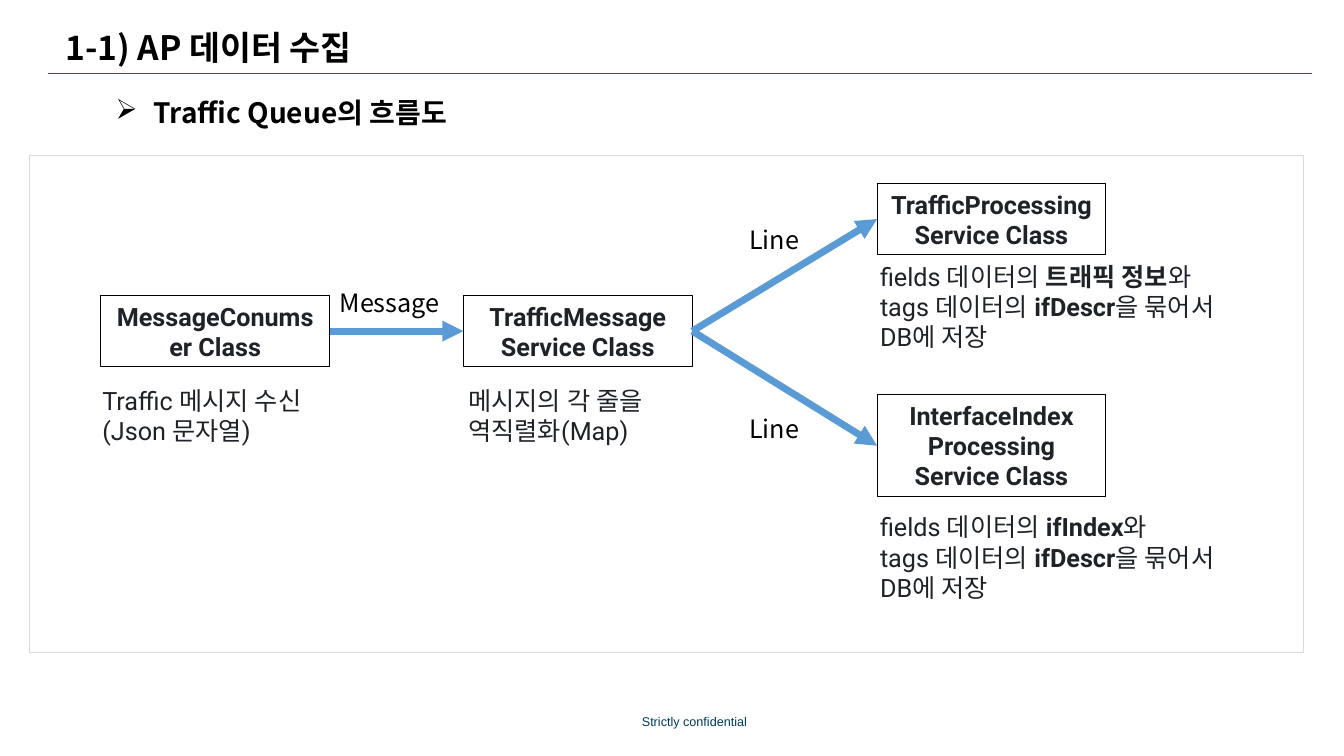
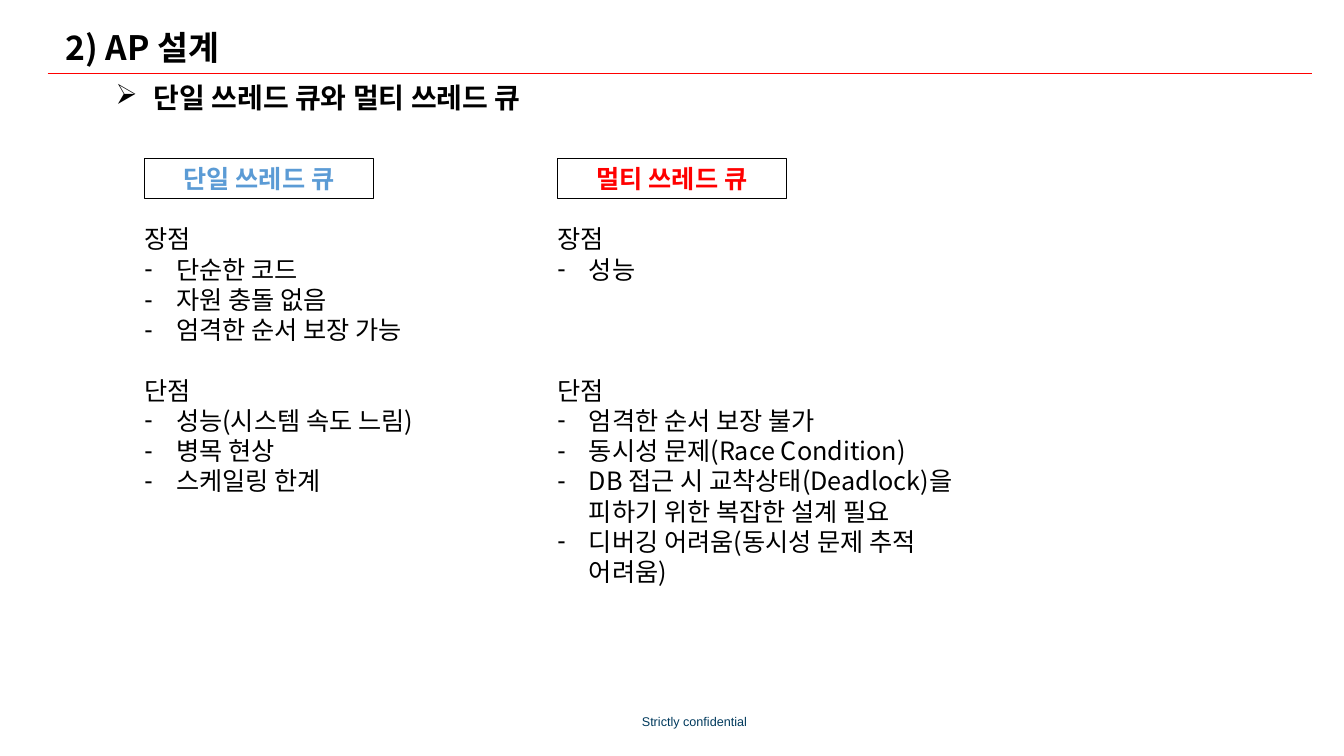
from pptx import Presentation
from pptx.dml.color import RGBColor
from pptx.enum.shapes import MSO_CONNECTOR, MSO_SHAPE
from pptx.enum.text import MSO_ANCHOR, MSO_AUTO_SIZE, PP_ALIGN
from pptx.oxml.ns import qn
from pptx.util import Pt
from lxml import etree

LEFT, CENTER = PP_ALIGN.LEFT, PP_ALIGN.CENTER
MIDDLE, TOP = MSO_ANCHOR.MIDDLE, MSO_ANCHOR.TOP
NO_FIT = MSO_AUTO_SIZE.NONE
STRAIGHT, RECT = MSO_CONNECTOR.STRAIGHT, MSO_SHAPE.RECTANGLE

# Shared look
BLACK, INK, RED, BLUE = "000000", "1F2328", "FF0000", "5B9BD5"
GREY, NAVY = "D9D9D9", "003A5D"
NOTO, ROBOTO = "Noto Sans CJK KR", "Roboto"
SIZE = 18
LEAD = 1.2
ROW = SIZE * LEAD
BOX_W = 163.5
TWO, THREE = 51, 72.75  # box heights for two and three rows


def color(code):
    return RGBColor.from_string(code)


def place(shape, left, top, width, height):
    shape.left, shape.top = Pt(left), Pt(top)
    shape.width, shape.height = Pt(width), Pt(height)


# Text
def style(para, size=SIZE, hue=BLACK, font=NOTO, bold=False, align=LEFT):
    para.alignment = align
    para.line_spacing = Pt(size * LEAD)
    para.space_before = Pt(0)
    for run in para.runs:
        face = run.font
        face.size, face.name = Pt(size), font
        face.bold = bold or bool(face.bold)
        face.color.rgb = color(hue)
        east = etree.Element(qn("a:ea"), typeface=font)
        run.font.element.find(qn("a:latin")).addnext(east) if hasattr(
            run.font, "element") else run._r.rPr.find(qn("a:latin")).addnext(east)


def bullet(para, mark, indent):
    props = para._p.get_or_add_pPr()
    props.set("marL", str(Pt(indent)))
    props.set("indent", str(-Pt(indent)))
    if mark:
        etree.SubElement(props, qn("a:buChar"), char=mark)
    else:
        etree.SubElement(props, qn("a:buNone"))


def write(frame, text, **look):
    """Fill a frame; words between asterisks are bold."""
    frame.word_wrap = True
    frame.text = text
    for para in frame.paragraphs:
        parts = para.text.split("*")
        if len(parts) > 1:
            para.text = ""
            for index, part in enumerate(parts):
                if part:
                    run = para.add_run()
                    run.text = part
                    run.font.bold = index % 2 == 1
        style(para, **look)


def label(slide, text, left, top, width, height=29, **look):
    shape = slide.shapes.add_textbox(Pt(left), Pt(top), Pt(width), Pt(height))
    write(shape.text_frame, text, **look)
    return shape


def title(slide, text):
    shape = slide.shapes.title
    place(shape, 39.6, 21.6, 895, 28)
    frame = shape.text_frame
    write(frame, text, size=24, bold=True)
    frame.auto_size, frame.vertical_anchor = NO_FIT, MIDDLE
    frame.paragraphs[0].line_spacing = 0.9


def topic(slide, text, top):
    shape = label(slide, text, 75.6, top, 432, 32, size=20, bold=True)
    bullet(shape.text_frame.paragraphs[0], "➢", 27)


def points(shape, left, width, groups, gap):
    """Fill a body placeholder with headed lists, gap rows apart."""
    place(shape, left, 113 + 2 * ROW, width, 270)
    frame = shape.text_frame
    rows = [row for head, items in groups for row in (head, *items)]
    heads = [head for head, _ in groups]
    write(frame, "\n".join(rows))
    frame.auto_size, frame.vertical_anchor = NO_FIT, TOP
    for index, para in enumerate(frame.paragraphs):
        head = para.text in heads
        bullet(para, "" if head else "-", 0 if head else 22.5)
        if head and index:
            para.space_before = Pt(gap * ROW)


# Shapes and lines
def rect(slide, left, top, width, height, hue=BLACK, weight=0.75):
    shape = slide.shapes.add_shape(RECT, Pt(left), Pt(top), Pt(width), Pt(height))
    shape.shadow.inherit = False
    shape.fill.background()
    shape.line.color.rgb = color(hue)
    shape.line.width = Pt(weight)
    return shape


def box(slide, text, left, top, height, hue=INK):
    shape = rect(slide, left, top, BOX_W, height)
    write(shape.text_frame, text, hue=hue, font=ROBOTO, bold=True, align=CENTER)
    shape.text_frame.vertical_anchor = MIDDLE
    return shape


def line(slide, start, end, hue, weight):
    shape = slide.shapes.add_connector(STRAIGHT, *map(Pt, start + end))
    shape.line.color.rgb = color(hue)
    shape.line.width = Pt(weight)
    etree.SubElement(shape._element.spPr, qn("a:effectLst"))
    return shape


def arrow(slide, source, target):
    shape = line(slide, (0, 0), (0, 0), BLUE, 5)
    shape.begin_connect(source, 3)
    shape.end_connect(target, 1)
    stroke = shape._element.spPr.find(qn("a:ln"))
    etree.SubElement(stroke, qn("a:tailEnd"), type="triangle")


def brand(deck, slide):
    """Put the title rule and the footer on the master."""
    rule = line(slide, (34, 52.5), (937, 52.5), RED, 1)
    foot = label(slide, "Strictly confidential", 385, 500.5, 222, 29.5,
                 size=9, hue=NAVY, font="Arial", align=CENTER)
    foot.text_frame.vertical_anchor = MIDDLE
    tree = deck.slide_master.shapes.element
    for number, shape in enumerate((rule, foot), 101):
        shape.element.xpath(".//p:cNvPr")[0].set("id", str(number))
        tree.append(shape.element)


# Slides
def flow(slide):
    title(slide, "1-1) AP 데이터 수집")
    topic(slide, "Traffic Queue의 흐름도", 65)
    rect(slide, 21, 111, 910, 355, GREY, 1)

    queue = box(slide, "MessageConumser Class", 72, 211, TWO)
    parse_box = box(slide, "TrafficMessage\nService Class", 331, 211, TWO)
    load = box(slide, "TrafficProcessing\nService Class", 626.5, 131, TWO)
    port = box(slide, "InterfaceIndex\nProcessing\nService Class", 626.5, 282, THREE)
    for source, target in ((queue, parse_box), (parse_box, load), (parse_box, port)):
        arrow(slide, source, target)

    for text, left, top, width in (("Message", 235.5, 202, 138),
                                   ("Line", 528, 157, 51),
                                   ("Line", 528, 291.5, 51)):
        label(slide, text, left, top, width)

    tail = "tags 데이터의 *ifDescr*을 묶어서\nDB에 저장"
    for text, left, top, width, height in (
            ("Traffic 메시지 수신\n(Json 문자열)", 66, 271.5, 193, TWO),
            ("메시지의 각 줄을\n역직렬화(Map)", 327.5, 271.5, 193, TWO),
            ("fields 데이터의 *트래픽 정보*와\n" + tail, 621.5, 183, 254, 94),
            ("fields 데이터의 *ifIndex*와\n" + tail, 621.5, 362, 254, 94)):
        label(slide, text, left, top, width, height, hue=INK, font=ROBOTO)


def design(slide):
    title(slide, "2) AP 설계")
    topic(slide, "단일 쓰레드 큐와 멀티 쓰레드 큐", 54)
    single = (("장점", ("단순한 코드", "자원 충돌 없음", "엄격한 순서 보장 가능")),
              ("단점", ("성능(시스템 속도 느림)", "병목 현상", "스케일링 한계")))
    multi = (("장점", ("성능",)),
             ("단점", ("엄격한 순서 보장 불가", "동시성 문제(Race Condition)",
                     "DB 접근 시 교착상태(Deadlock)을 피하기 위한 복잡한 설계 필요",
                     "디버깅 어려움(동시성 문제 추적 어려움)")))
    columns = (("단일 쓰레드 큐", BLUE, 96, 235, single, 1),
               ("멀티 쓰레드 큐", RED, 391, 317.5, multi, 3))
    bodies = list(slide.placeholders)[1:]
    for body, (name, hue, left, width, groups, gap) in zip(bodies, columns):
        points(body, left, width, groups, gap)
        box(slide, name, left + 7.2, 113, 29, hue)


def main():
    deck = Presentation()
    deck.slide_width, deck.slide_height = Pt(960), Pt(540)
    first = deck.slides.add_slide(deck.slide_layouts[5])
    second = deck.slides.add_slide(deck.slide_layouts[3])
    brand(deck, first)
    flow(first)
    design(second)
    deck.save("out.pptx")


if __name__ == "__main__":
    main()
